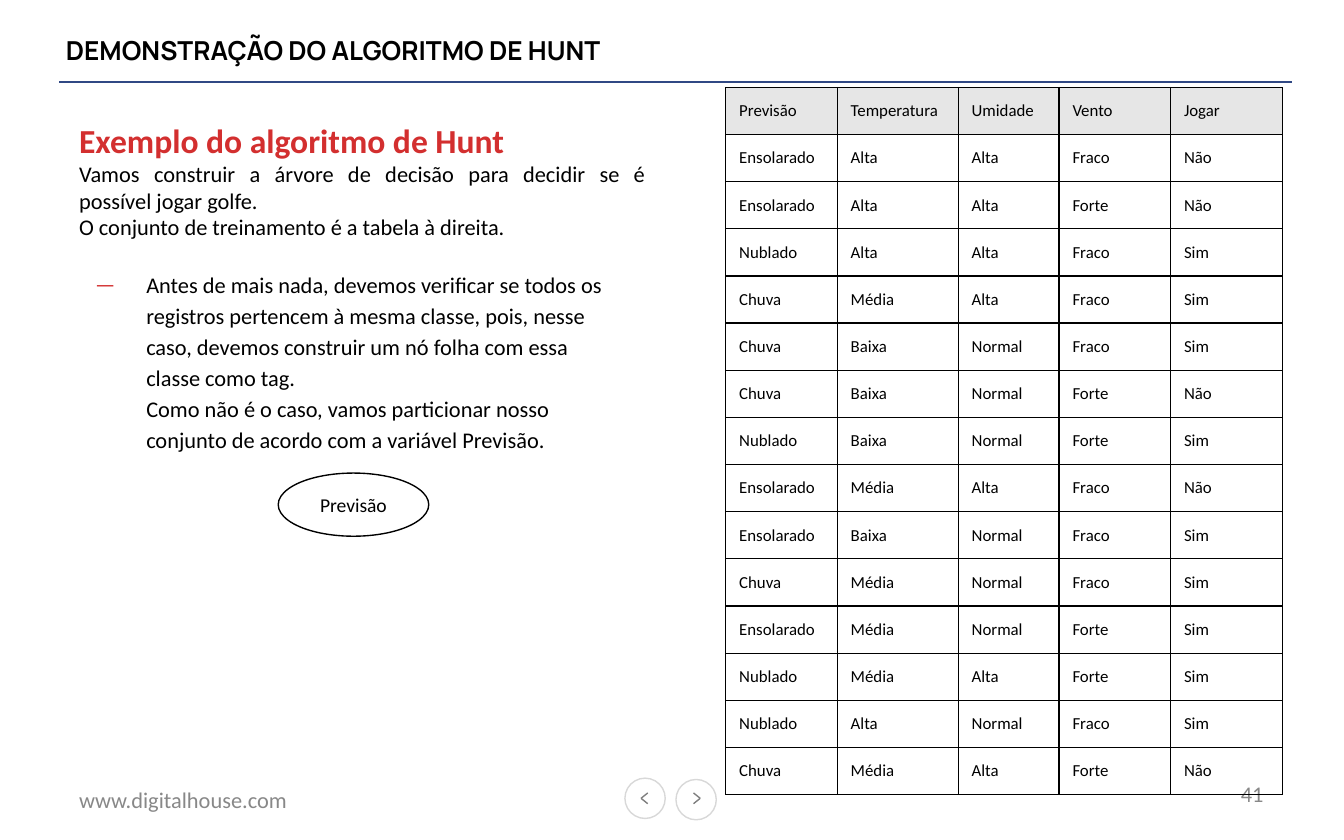
from lxml import etree
from pptx import Presentation
from pptx.dml.color import RGBColor
from pptx.enum import shapes, text
from pptx.oxml import ns
from pptx.util import Inches, Pt

HEADERS = ["Previsão", "Temperatura", "Umidade", "Vento", "Jogar"]
RECORDS = """Ensolarado Alta Alta Fraco Não
Ensolarado Alta Alta Forte Não
Nublado Alta Alta Fraco Sim
Chuva Média Alta Fraco Sim
Chuva Baixa Normal Fraco Sim
Chuva Baixa Normal Forte Não
Nublado Baixa Normal Forte Sim
Ensolarado Média Alta Fraco Não
Ensolarado Baixa Normal Fraco Sim
Chuva Média Normal Fraco Sim
Ensolarado Média Normal Forte Sim
Nublado Média Alta Forte Sim
Nublado Alta Normal Fraco Sim
Chuva Média Alta Forte Não"""
COLUMN_WIDTHS = [0.83, 0.9, 0.75, 0.83, 0.83]
ROW_HEIGHT = 0.35
LEFT = text.PP_ALIGN.LEFT
RIGHT = text.PP_ALIGN.RIGHT
CENTER = text.PP_ALIGN.CENTER
JUSTIFY = text.PP_ALIGN.JUSTIFY


def color(value):
    """Turn a hex string into a colour."""
    return RGBColor.from_string(value)


def sub(parent, tag, **attributes):
    """Append a drawing element to its parent."""
    return etree.SubElement(parent, ns.qn(tag), attributes)


def style(paragraph, size, ink="000000", bold=False, face="Calibri", align=LEFT):
    """Set the alignment and font of a paragraph."""
    paragraph.alignment = align
    font = paragraph.font
    font.name, font.size, font.bold = face, Pt(size), bold
    font.color.rgb = color(ink)


def add_bullet(paragraph, mark, ink):
    """Give a paragraph a coloured bullet and a hanging indent."""
    properties = paragraph._p.get_or_add_pPr()
    properties.set("marL", str(Inches(0.5)))
    properties.set("indent", str(Inches(-0.38)))
    sub(sub(properties, "a:buClr"), "a:srgbClr", val=ink)
    sub(properties, "a:buFont", typeface="Calibri")
    sub(properties, "a:buChar", char=mark)


def add_frame(slide, left, top, width, height, anchor=text.MSO_ANCHOR.MIDDLE):
    """Add a wrapping text box and return its text frame."""
    box = slide.shapes.add_textbox(Inches(left), Inches(top), Inches(width), Inches(height))
    frame = box.text_frame
    frame.word_wrap = True
    frame.vertical_anchor = anchor
    return frame


def add_label(slide, words, left, top, width, height, size, margin=None, **look):
    """Add a one-paragraph text box."""
    frame = add_frame(slide, left, top, width, height)
    if margin is not None:
        frame.margin_left = frame.margin_right = Inches(margin)
        frame.margin_top = frame.margin_bottom = Inches(margin)
    paragraph = frame.paragraphs[0]
    paragraph.text = words
    style(paragraph, size, **look)


def add_line(slide, start, end, ink):
    """Draw a thin straight line without shadow."""
    line = slide.shapes.add_connector(
        shapes.MSO_CONNECTOR.STRAIGHT, *(Inches(value) for value in (*start, *end)))
    line.line.color.rgb = color(ink)
    line.line.width = Pt(0.75)
    sub(line._element.spPr, "a:effectLst")


def add_ellipse(slide, left, top, width, height, ink, fill=None):
    """Add an outlined ellipse."""
    ellipse = slide.shapes.add_shape(
        shapes.MSO_SHAPE.OVAL, Inches(left), Inches(top), Inches(width), Inches(height))
    ellipse.shadow.inherit = False
    if fill:
        ellipse.fill.solid()
        ellipse.fill.fore_color.rgb = color(fill)
    else:
        ellipse.fill.background()
    ellipse.line.color.rgb = color(ink)
    ellipse.line.width = Pt(0.75)
    return ellipse


def add_arrow_button(slide, left, top, direction):
    """Add a round button with a chevron pointing left (-1) or right (1)."""
    add_ellipse(slide, left, top, 0.3, 0.3, "D8D8D8", "FFFFFF")
    tip = (left + 0.15 + direction * 0.03, 5.94)
    for rise in (-0.04, 0.04):
        add_line(slide, tip, (tip[0] - direction * 0.05, tip[1] + rise), "7F7F7F")


def add_introduction(slide):
    """Add the heading and the introductory sentences."""
    frame = add_frame(slide, 0.49, 0.84, 4.52, 1.07, text.MSO_ANCHOR.TOP)
    heading = frame.paragraphs[0]
    heading.text = "Exemplo do algoritmo de Hunt"
    style(heading, 18, "D32F2F", bold=True, align=JUSTIFY)
    for words in (
        "Vamos construir a árvore de decisão para decidir se é \vpossível jogar golfe.",
        "O conjunto de treinamento é a tabela à direita.",
    ):
        introduction = frame.add_paragraph()
        introduction.text = words
        style(introduction, 12, align=JUSTIFY)


def add_reasoning(slide):
    """Add the bulleted reasoning in a narrower column."""
    frame = add_frame(slide, 0.49, 1.94, 4.2, 1.5, text.MSO_ANCHOR.TOP)
    reasoning = frame.paragraphs[0]
    reasoning.text = (
        "Antes de mais nada, devemos verificar se todos os registros pertencem à mesma "
        "classe, pois, nesse caso, devemos construir um nó folha com essa classe como tag. \v"
        "Como não é o caso, vamos particionar nosso conjunto de acordo com a variável Previsão.")
    add_bullet(reasoning, "—", "D32F2F")
    reasoning.line_spacing = 1.15
    style(reasoning, 12)


def add_borders(cell, ink):
    """Draw thin lines on all four sides of a cell."""
    properties = cell._tc.get_or_add_tcPr()
    for side in "LRTB":
        border = sub(properties, f"a:ln{side}", w=str(Pt(0.75)))
        sub(sub(border, "a:solidFill"), "a:srgbClr", val=ink)


def fill_cell(cell, words, is_header):
    """Write and format one table cell."""
    cell.margin_left = cell.margin_right = Inches(0.1)
    cell.margin_top = cell.margin_bottom = Inches(0.1)
    add_borders(cell, "000000")
    if is_header:
        cell.fill.solid()
        cell.fill.fore_color.rgb = color("E6E6E6")
    else:
        cell.fill.background()
    paragraph = cell.text_frame.paragraphs[0]
    paragraph.text = words
    style(paragraph, 9)


def add_training_table(slide):
    """Add the training set as a table."""
    rows = [HEADERS] + [record.split() for record in RECORDS.splitlines()]
    table = slide.shapes.add_table(
        len(rows), len(HEADERS), Inches(5.4), Inches(0.65),
        Inches(sum(COLUMN_WIDTHS)), Inches(ROW_HEIGHT * len(rows))).table
    table.first_row = table.horz_banding = False
    for column, width in zip(table.columns, COLUMN_WIDTHS):
        column.width = Inches(width)
    for row_index, row in enumerate(rows):
        table.rows[row_index].height = Inches(ROW_HEIGHT)
        for column_index, words in enumerate(row):
            fill_cell(table.cell(row_index, column_index), words, row_index == 0)


def add_root_node(slide):
    """Add the root node of the decision tree."""
    node = add_ellipse(slide, 2.07, 3.52, 1.12, 0.47, "000000")
    node.text_frame.vertical_anchor = text.MSO_ANCHOR.MIDDLE
    root = node.text_frame.paragraphs[0]
    root.text = "Previsão"
    style(root, 10.5, align=CENTER)


def main():
    """Build the slide and save it."""
    deck = Presentation()
    deck.slide_width, deck.slide_height = Inches(10), Inches(6.25)
    slide = deck.slides.add_slide(deck.slide_layouts[6])
    add_line(slide, (0.44, 0.61), (9.61, 0.61), "304884")
    add_label(slide, "www.digitalhouse.com", 0.49, 5.8, 2.33, 0.3, 12, ink="888888")
    add_arrow_button(slide, 4.65, 5.79, -1)
    add_arrow_button(slide, 5.03, 5.8, 1)
    add_label(slide, "DEMONSTRAÇÃO DO ALGORITMO DE HUNT", 0.49, 0.16, 6.67, 0.43, 14,
              margin=0, bold=True, face="Manrope")
    add_label(slide, "41", 7.17, 5.74, 2.33, 0.33, 12, ink="888888", align=RIGHT)
    add_introduction(slide)
    add_reasoning(slide)
    add_training_table(slide)
    add_root_node(slide)
    deck.save("out.pptx")


if __name__ == "__main__":
    main()
